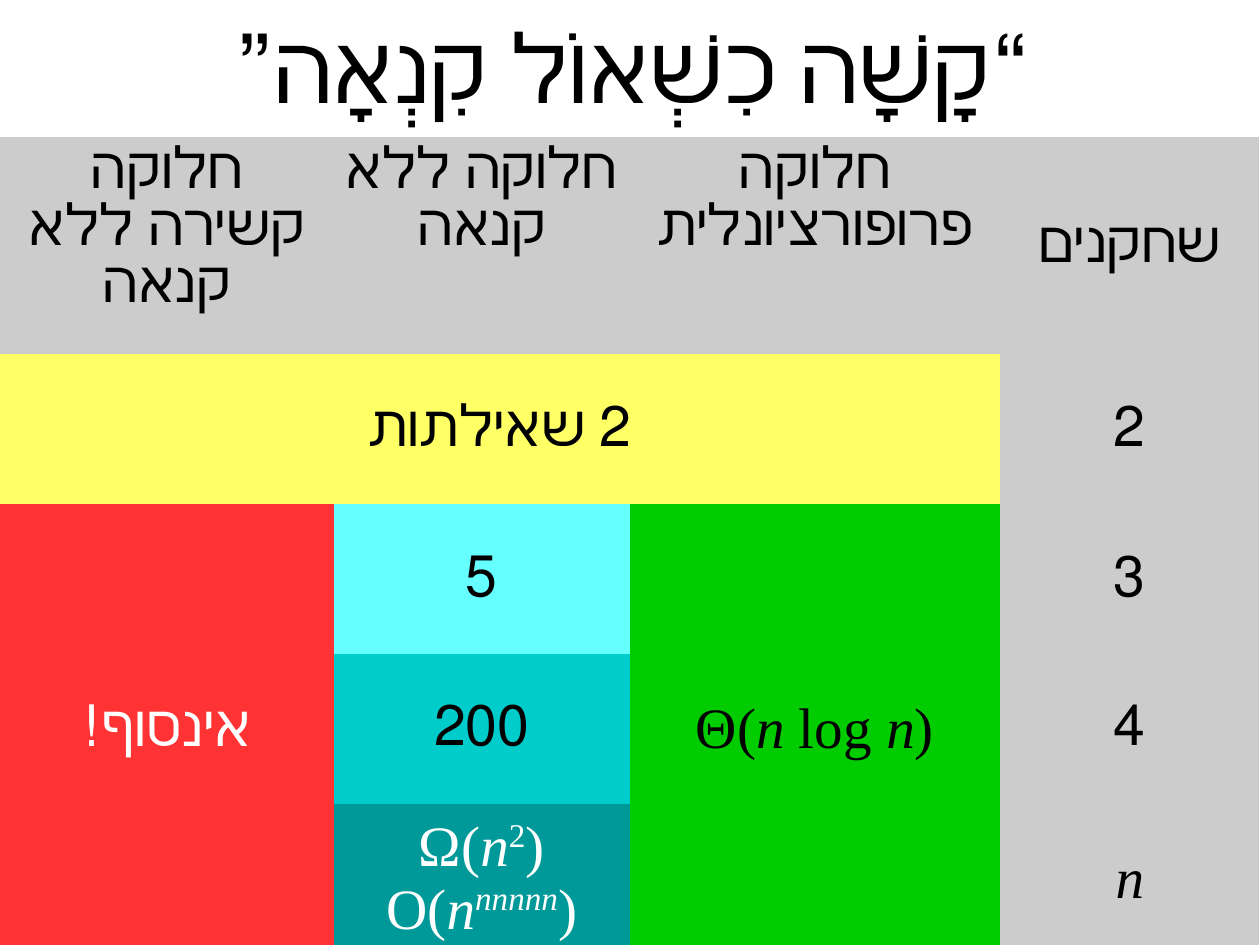
from dataclasses import dataclass

from pptx import Presentation
from pptx.dml.color import RGBColor
from pptx.enum.text import MSO_ANCHOR, PP_ALIGN
from pptx.oxml.ns import qn
from pptx.util import Inches, Pt

CENTER = PP_ALIGN.CENTER
TOP, MIDDLE = MSO_ANCHOR.TOP, MSO_ANCHOR.MIDDLE
SANS, SERIF = "Arial", "Times New Roman"
NO_GRID_STYLE = "{2D5ABB26-0587-4C30-8999-92F81FD0307C}"
CM_PER_INCH = 2.54
COLORS = {
    "black": "000000", "white": "FFFFFF", "gray": "CCCCCC",
    "yellow": "FFFF66", "red": "FF3333", "green": "00CC00",
    "pale_cyan": "66FFFF", "cyan": "00CCCC", "teal": "009999",
}
COLUMN_WIDTHS = (2.92, 2.59, 3.24, 2.27)
ROW_HEIGHTS = (1.86, 1.31, 1.31, 1.31, 1.32)


@dataclass(frozen=True)
class Part:
    text: str
    italic: bool = False
    raised: bool = False


Line = tuple[Part, ...]


@dataclass(frozen=True)
class Entry:
    row: int
    column: int
    lines: tuple[Line, ...]
    fill: str = "gray"
    color: str = "black"
    font: str = SANS
    rtl: bool = True
    anchor: MSO_ANCHOR = MIDDLE
    last_row: int | None = None
    last_column: int | None = None


def plain(text: str) -> tuple[Line, ...]:
    return ((Part(text),),)


N = Part("n", italic=True)
CLOSE = Part(")")
N_LOG_N = ((Part("Θ("), N, Part(" log "), N, CLOSE),)
BOUNDS = (
    (Part("Ω("), N, Part("2", raised=True), CLOSE),
    (Part("O("), N, Part("nnnnn", italic=True, raised=True), CLOSE),
)
HEADERS = ("חלוקה קשירה ללא קנאה", "חלוקה ללא קנאה", "חלוקה פרופורציונלית")
ENTRIES = [
    *(Entry(0, column, plain(text), anchor=TOP) for column, text in enumerate(HEADERS)),
    *(Entry(row, 3, plain(text)) for row, text in enumerate(("שחקנים", "2", "3", "4"))),
    Entry(4, 3, ((N,),), font=SERIF),
    Entry(1, 0, plain("2 שאילתות"), "yellow", last_column=2),
    Entry(2, 0, plain("אינסוף!"), "red", "white", last_row=4),
    Entry(2, 1, plain("5"), "pale_cyan"),
    Entry(3, 1, plain("200"), "cyan"),
    Entry(4, 1, BOUNDS, "teal", "white", SERIF, rtl=False),
    Entry(2, 2, N_LOG_N, "green", font=SERIF, rtl=False, last_row=4),
]


def write_text(frame, lines: tuple[Line, ...], *, size: float, font: str = SANS,
               color: str = "black", rtl: bool = True, indent: float = 0) -> None:
    for index, line in enumerate(lines):
        paragraph = frame.add_paragraph() if index else frame.paragraphs[0]
        paragraph.alignment = CENTER
        properties = paragraph._p.get_or_add_pPr()
        properties.set("rtl", str(int(rtl)))
        properties.set("marL", str(Inches(indent)))
        for part in line:
            run = paragraph.add_run()
            run.text = part.text
            run.font.size = Pt(size)
            run.font.name = font
            run.font.italic = part.italic
            run.font.color.rgb = RGBColor.from_string(COLORS[color])
            if part.raised:
                run._r.get_or_add_rPr().set("baseline", "33000")


def add_title(slide) -> None:
    box = slide.shapes.add_textbox(Inches(0.2), Inches(0.05), Inches(10.9), Inches(1.05))
    frame = box.text_frame
    frame.word_wrap = True
    frame.vertical_anchor = MIDDLE
    frame.margin_left = frame.margin_right = frame.margin_top = frame.margin_bottom = 0
    write_text(frame, plain("“קָשָׁה כִשְׁאוֹל קִנְאָה”"), size=60, indent=0.24)


def add_query_table(slide) -> None:
    table = slide.shapes.add_table(
        len(ROW_HEIGHTS), len(COLUMN_WIDTHS), Inches(0), Inches(1.2),
        Inches(sum(COLUMN_WIDTHS)), Inches(sum(ROW_HEIGHTS))).table
    table.first_row = table.horz_banding = False
    table._tbl.tblPr.find(qn("a:tableStyleId")).text = NO_GRID_STYLE
    for column, width in zip(table.columns, COLUMN_WIDTHS):
        column.width = Inches(width)
    for row, height in zip(table.rows, ROW_HEIGHTS):
        row.height = Inches(height)
    for entry in ENTRIES:
        add_entry(table, entry)


def add_entry(table, entry: Entry) -> None:
    cell = table.cell(entry.row, entry.column)
    last_row = entry.last_row or entry.row
    last_column = entry.last_column or entry.column
    if (last_row, last_column) != (entry.row, entry.column):
        cell.merge(table.cell(last_row, last_column))
    cell.fill.solid()
    cell.fill.fore_color.rgb = RGBColor.from_string(COLORS[entry.fill])
    cell.vertical_anchor = entry.anchor
    cell.margin_left = cell.margin_right = Inches(0.1)
    cell.margin_top = cell.margin_bottom = Inches(0.05)
    write_text(cell.text_frame, entry.lines, size=36, font=entry.font,
               color=entry.color, rtl=entry.rtl)


def main() -> None:
    presentation = Presentation()
    presentation.slide_width = Inches(28 / CM_PER_INCH)
    presentation.slide_height = Inches(21 / CM_PER_INCH)
    slide = presentation.slides.add_slide(presentation.slide_layouts[6])
    add_title(slide)
    add_query_table(slide)
    presentation.save("out.pptx")


if __name__ == "__main__":
    main()
